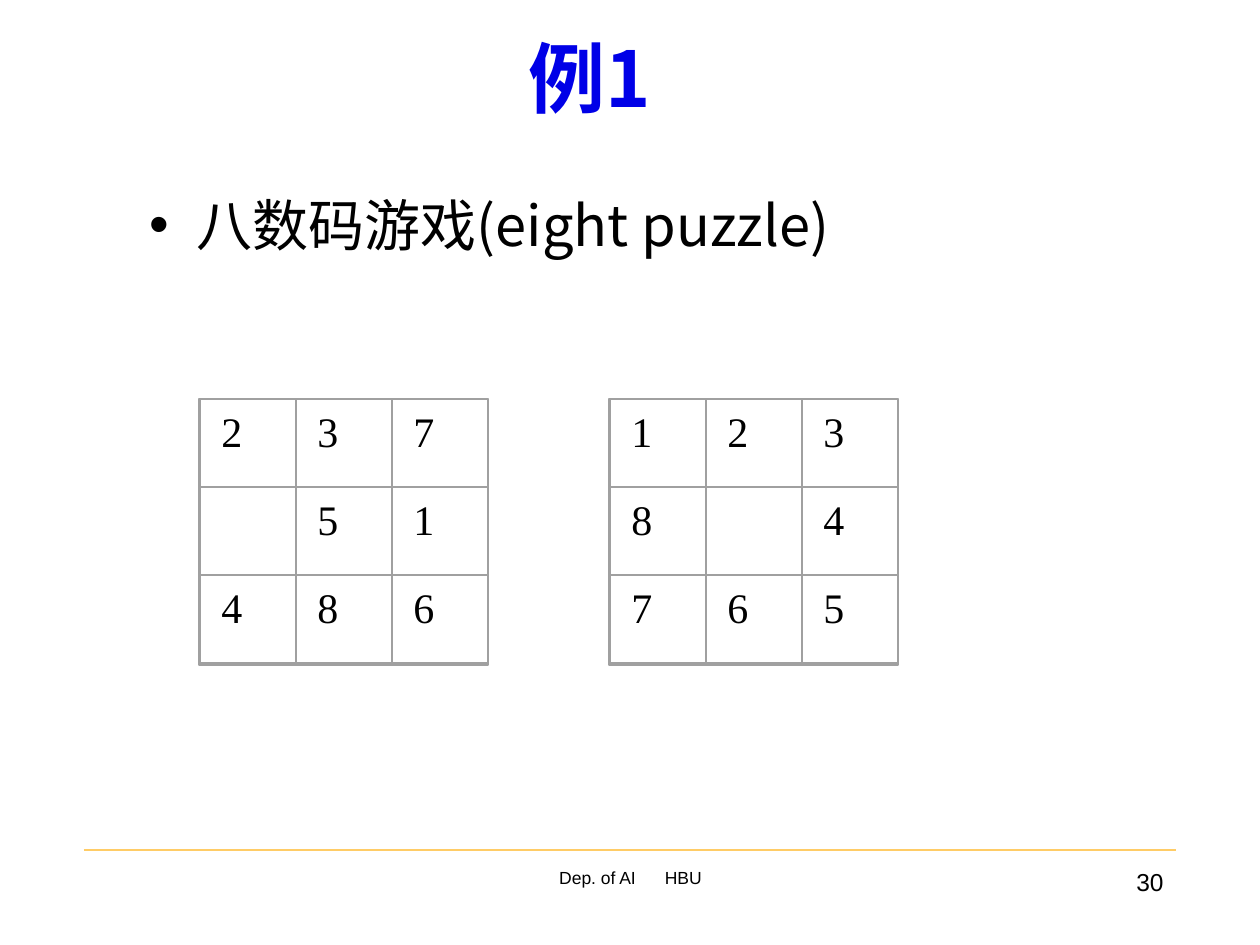
from lxml import etree
from pptx import Presentation
from pptx import util as u
from pptx.dml.color import RGBColor
from pptx.enum import shapes, text
from pptx.oxml import ns

PX = 914400 / 126
BLUE = RGBColor(0x00, 0x00, 0xE7)
BLACK = RGBColor(0x00, 0x00, 0x00)
GRAY = RGBColor(0xA0, 0xA0, 0xA0)
GOLD = RGBColor(0xFF, 0xCC, 0x66)
CJK, SERIF, SANS = "Noto Sans CJK SC", "Times New Roman", "Arial"
ALIGN = text.PP_ALIGN


def px(*lengths):
    return [u.Emu(round(length * PX)) for length in lengths]


def write(shape, words, size, font, align, color=BLACK, bold=False):
    """Add each string as one run of the first paragraph."""
    shape.text_frame.word_wrap = True
    paragraph = shape.text_frame.paragraphs[0]
    paragraph.alignment = align
    for word in words:
        run = paragraph.add_run()
        run.text = word
        run.font.size = u.Pt(size)
        run.font.name = font
        run.font.bold = bold
        run.font.color.rgb = color
        east_asian = etree.SubElement(run.font._element, ns.qn("a:ea"))
        east_asian.set("typeface", font)
    return paragraph


presentation = Presentation()
presentation.slide_width, presentation.slide_height = px(1260, 945)
slide = presentation.slides.add_slide(presentation.slide_layouts[5])

# Footer rule
rule = slide.shapes.add_connector(shapes.MSO_CONNECTOR.STRAIGHT, *px(84, 850, 1176, 850))
rule.line.color.rgb = GOLD
rule.line.width = u.Pt(1.5)
etree.SubElement(rule._element.spPr, ns.qn("a:effectLst"))

# Title
title = slide.shapes.title
title.left, title.top, title.width, title.height = px(54, -2, 1071, 157)
title.text_frame.vertical_anchor = text.MSO_ANCHOR.MIDDLE
write(title, ["例1"], 44, CJK, ALIGN.CENTER, BLUE, True)

# Bullet
body = slide.shapes.add_textbox(*px(137, 184, 1095, 129))
paragraph = write(body, ["八数码游戏(eight puzzle)"], 32, CJK, ALIGN.LEFT)
paragraph.space_before = u.Pt(8)
properties = paragraph._p.get_or_add_pPr()
indent = px(47)[0]
properties.set("marL", str(indent))
properties.set("indent", str(-indent))
etree.SubElement(properties, ns.qn("a:buFont")).set("typeface", SANS)
etree.SubElement(properties, ns.qn("a:buChar")).set("char", "•")

# Start and goal boards, one group each
CELL_WIDTH, CELL_HEIGHT, BOARD_TOP, TEXT_INSET = 96, 88, 399, 9
boards = [(200, ["237", " 51", "486"]), (610, ["123", "8 4", "765"])]
for board_left, rows in boards:
    board = slide.shapes.add_group_shape()
    frames = []
    for row, digits in enumerate(rows):
        for column, digit in enumerate(digits):
            left = board_left + column * CELL_WIDTH
            top = BOARD_TOP + row * CELL_HEIGHT
            if digit != " ":
                label = board.shapes.add_textbox(
                    *px(left + TEXT_INSET, top, CELL_WIDTH - 2 * TEXT_INSET, CELL_HEIGHT))
                write(label, [digit], 24, SERIF, ALIGN.JUSTIFY)
            frames.append((left, top, CELL_WIDTH, CELL_HEIGHT, 0))
            if len(frames) == 9:
                frames.append((board_left - 1, BOARD_TOP, 3 * CELL_WIDTH + 1,
                               3 * CELL_HEIGHT + 2, 0.75))
    for *box, line_width in frames:
        frame = board.shapes.add_shape(shapes.MSO_SHAPE.RECTANGLE, *px(*box))
        frame.shadow.inherit = False
        frame.fill.background()
        frame.line.color.rgb = GRAY
        frame.line.width = u.Pt(line_width)

# Slide number and footer, whose middle run is one widened space
number = slide.shapes.add_textbox(*px(914, 861, 262, 63))
write(number, ["30"], 14, SANS, ALIGN.RIGHT)
footer = slide.shapes.add_textbox(*px(431, 861, 399, 63))
paragraph = write(footer, ["Dep. of AI", " ", "HBU"], 10, SANS, ALIGN.CENTER)
paragraph.runs[1].font._element.set("spc", "1390")

presentation.save("out.pptx")
